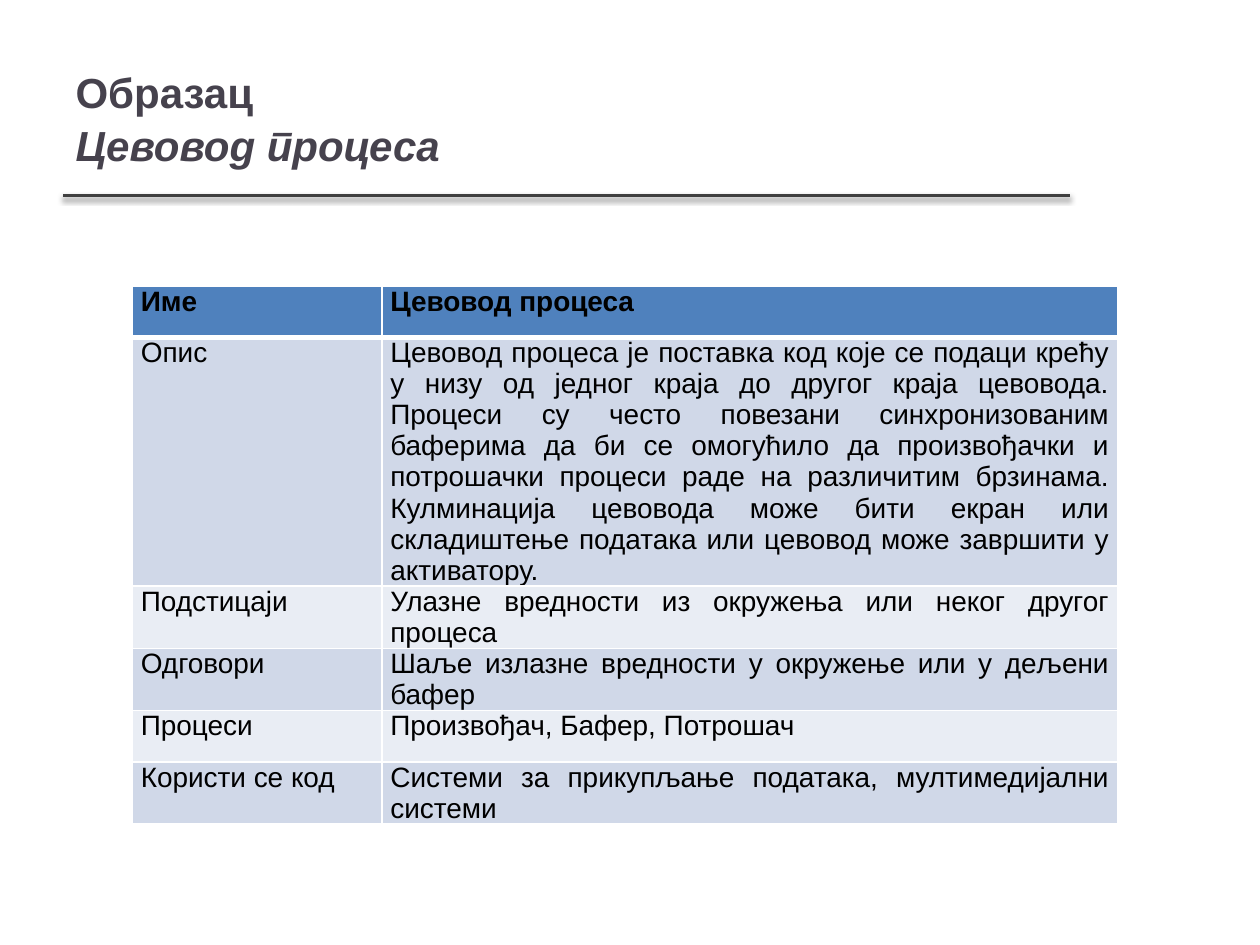
import copy
from typing import NamedTuple

import lxml.etree
import pptx
import pptx.dml.color
import pptx.enum.shapes
import pptx.enum.text
import pptx.oxml
import pptx.oxml.ns
import pptx.util

Cm = pptx.util.Cm
Pt = pptx.util.Pt
RGBColor = pptx.dml.color.RGBColor
Align = pptx.enum.text.PP_ALIGN
qn = pptx.oxml.ns.qn

FONT = "Arial"
LANGUAGE = "sr-Cyrl-RS"
BLACK = RGBColor(0x00, 0x00, 0x00)
WHITE = RGBColor(0xFF, 0xFF, 0xFF)
TITLE_COLOR = RGBColor(0x46, 0x42, 0x4D)
RULE_COLOR = RGBColor(0x40, 0x40, 0x40)
HEADER_FILL = RGBColor(0x4F, 0x81, 0xBD)
BAND_FILLS = (RGBColor(0xE9, 0xED, 0xF4), RGBColor(0xD0, 0xD8, 0xE8))


class PatternRow(NamedTuple):
    label: str
    description: str


ROWS = [
    PatternRow("Име", "Цевовод процеса"),
    PatternRow(
        "Опис",
        "Цевовод процеса је поставка код које се подаци крећу у низу од једног "
        "краја до другог краја цевовода. Процеси су често повезани "
        "синхронизованим баферима да би се омогућило да произвођачки и "
        "потрошачки процеси раде на различитим брзинама. Кулминација цевовода "
        "може бити екран или складиштење података или цевовод може завршити у "
        "активатору.",
    ),
    PatternRow("Подстицаји", "Улазне вредности из окружења или неког другог процеса"),
    PatternRow("Одговори", "Шаље излазне вредности у окружење или у дељени бафер"),
    PatternRow("Процеси", "Произвођач, Бафер, Потрошач"),
    PatternRow("Користи се код", "Системи за прикупљање података, мултимедијални системи"),
]


def add_text(paragraph, text: str, *, size: float, color: RGBColor,
             bold: bool = False, italic: bool = False):
    run = paragraph.add_run()
    run.text = text
    font = run.font
    font.name, font.size, font.bold, font.italic = FONT, Pt(size), bold, italic
    font.color.rgb = color
    run._r.get_or_add_rPr().set("lang", LANGUAGE)
    return run


def add_title(slide) -> None:
    title = slide.shapes.title
    title.left, title.top, title.width, title.height = Cm(1.27), Cm(0.76), Cm(20.27), Cm(3.18)
    frame = title.text_frame
    frame.word_wrap = True
    frame.auto_size = pptx.enum.text.MSO_AUTO_SIZE.NONE
    frame.vertical_anchor = pptx.enum.text.MSO_ANCHOR.MIDDLE
    paragraph = frame.paragraphs[0]
    paragraph.alignment = Align.LEFT
    paragraph.line_spacing = 1.05
    heading = add_text(paragraph, "Образац", size=24, color=TITLE_COLOR, bold=True)
    paragraph.add_line_break()
    # The break needs the heading's size, or it would stretch the line
    paragraph._p.find(qn("a:br")).append(copy.deepcopy(heading._r.rPr))
    add_text(paragraph, "Цевовод процеса", size=24, color=TITLE_COLOR, bold=True, italic=True)


def add_title_rule(slide) -> None:
    rule = slide.shapes.add_connector(
        pptx.enum.shapes.MSO_CONNECTOR.STRAIGHT, Cm(1.27), Cm(3.94), Cm(21.56), Cm(3.94))
    rule.line.color.rgb = RULE_COLOR
    rule.line.width = Pt(2)
    effects = lxml.etree.SubElement(rule._element.spPr, qn("a:effectLst"))
    shadow = lxml.etree.SubElement(
        effects, qn("a:outerShdw"), blurRad=str(Pt(3.1)), dist=str(Pt(1.6)),
        dir="5400000", rotWithShape="0")
    color = lxml.etree.SubElement(shadow, qn("a:srgbClr"), val=str(BLACK))
    lxml.etree.SubElement(color, qn("a:alpha"), val="38000")


def set_borders(cell, **widths: float) -> None:
    """Draw white borders; keywords are L, R, T and B with widths in points."""
    properties = cell._tc.get_or_add_tcPr()
    for side, width in widths.items():
        line = lxml.etree.SubElement(properties, qn(f"a:ln{side}"), w=str(Pt(width)))
        fill = lxml.etree.SubElement(line, qn("a:solidFill"))
        lxml.etree.SubElement(fill, qn("a:srgbClr"), val=str(WHITE))


def fill_cell(cell, text: str, row_index: int) -> None:
    is_header = row_index == 0
    cell.margin_left = cell.margin_right = Cm(0.17)
    cell.margin_top = cell.margin_bottom = 0
    set_borders(cell, L=1, R=1, T=3 if row_index == 1 else 1, B=3 if is_header else 1)
    cell.fill.solid()
    cell.fill.fore_color.rgb = HEADER_FILL if is_header else BAND_FILLS[row_index % 2]
    paragraph = cell.text_frame.paragraphs[0]
    paragraph.alignment = Align.JUSTIFY
    paragraph.space_after = Pt(3)
    add_text(paragraph, text, size=16, color=BLACK, bold=is_header)


def add_pattern_table(slide, rows: list[PatternRow]) -> None:
    row_height = Cm(1.03)
    table = slide.shapes.add_table(
        len(rows), 2, Cm(2.67), Cm(5.77), Cm(19.86), row_height * len(rows)).table
    table.horz_banding = False
    table.columns[0].width, table.columns[1].width = Cm(5.03), Cm(14.83)
    for row_index, row in enumerate(rows):
        table.rows[row_index].height = row_height
        for column_index, text in enumerate(row):
            fill_cell(table.cell(row_index, column_index), text, row_index)


def main() -> None:
    presentation = pptx.Presentation()
    presentation.slide_width, presentation.slide_height = Cm(25.4), Cm(19.05)
    slide = presentation.slides.add_slide(presentation.slide_layouts[5])
    add_title(slide)
    add_title_rule(slide)
    add_pattern_table(slide, ROWS)
    presentation.save("out.pptx")


if __name__ == "__main__":
    main()
